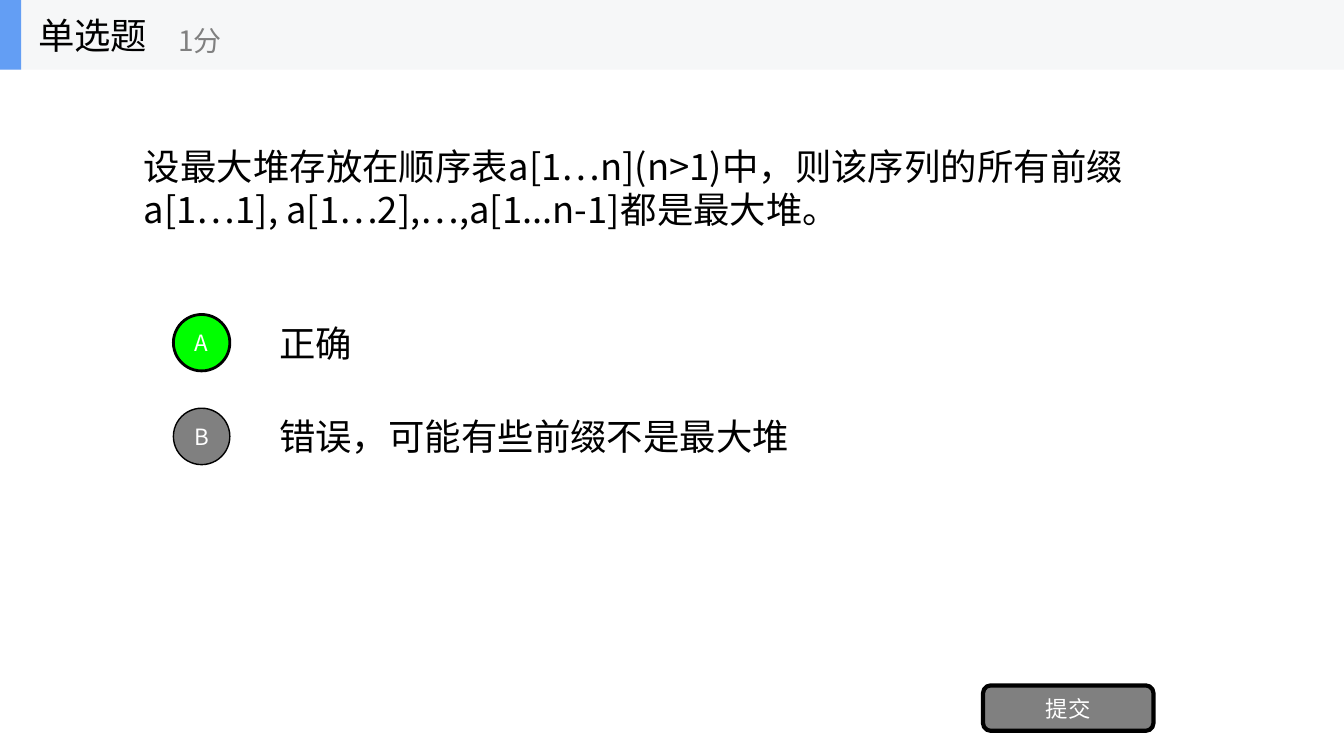
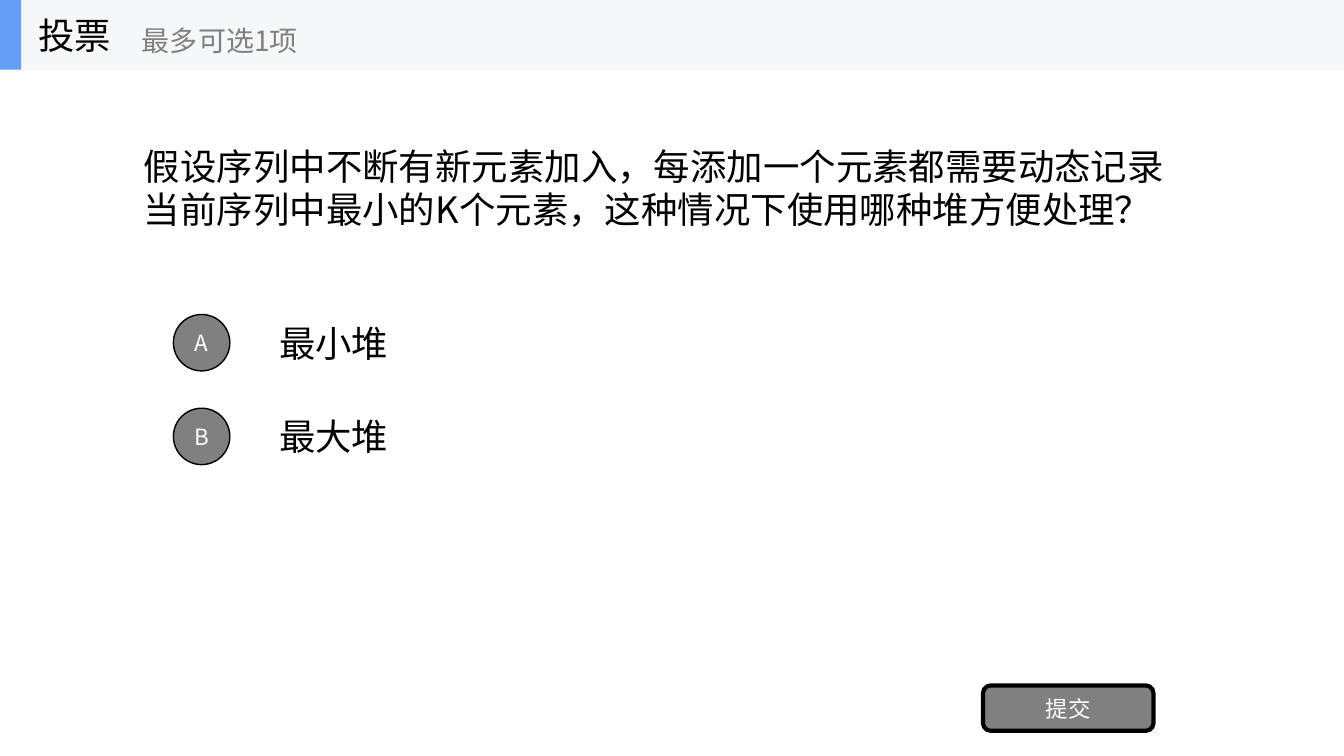
from lxml import etree
from pptx import Presentation
from pptx.dml.color import RGBColor
from pptx.enum import shapes, text
from pptx.oxml.ns import qn
from pptx.util import Inches, Pt

# Content: the correct option, if shown, is named by its letter
QUESTIONS = [
    {
        "kind": "单选题",
        "hint": "1分",
        "question": "设最大堆存放在顺序表a[1…n](n>1)中，则该序列的所有前缀"
                    "a[1…1], a[1…2],…,a[1...n-1]都是最大堆。",
        "options": ["正确", "错误，可能有些前缀不是最大堆"],
        "correct": "A",
    },
    {
        "kind": "投票",
        "hint": "最多可选1项",
        "question": "假设序列中不断有新元素加入，每添加一个元素都需要动态记录"
                    "当前序列中最小的K个元素，这种情况下使用哪种堆方便处理？",
        "options": ["最小堆", "最大堆"],
        "correct": None,
    },
]

# Shared style
FONT = "Noto Sans CJK SC"
BLACK, WHITE, GRAY, GREEN = "000000", "FFFFFF", "808080", "00FF00"
BAND, ACCENT = "F6F7F8", "639EF4"
WIDTH, HEIGHT = 13.33, 7.5
BAND_HEIGHT = 0.69
OPTION_TOP, OPTION_HEIGHT, OPTION_PITCH = 3.05, 0.7, 0.93
BADGE = 0.56


def color(value):
    return RGBColor.from_string(value)


def write(shape, words, size=26, ink=BLACK, align=text.PP_ALIGN.LEFT, wrap=True):
    frame = shape.text_frame
    frame.word_wrap = wrap
    frame.vertical_anchor = text.MSO_ANCHOR.MIDDLE
    para = frame.paragraphs[0]
    para.alignment = align
    span = para.add_run()
    span.text = words
    span.font.size = Pt(size)
    span.font.name = FONT
    span.font.color.rgb = color(ink)
    # East Asian characters take their own font element
    etree.SubElement(span.font._element, qn("a:ea"), typeface=FONT)


def add_text(parent, place, words, **style):
    box = parent.add_textbox(*map(Inches, place))
    write(box, words, **style)


def add_block(parent, preset, place, fill, line=0, label=None):
    block = parent.add_shape(preset, *map(Inches, place))
    block.shadow.inherit = False
    block.fill.solid()
    block.fill.fore_color.rgb = color(fill)
    if line:
        block.line.color.rgb = color(BLACK)
        block.line.width = Pt(line)
    else:
        block.line.fill.background()
    if label:
        write(block, label, size=16, ink=WHITE, align=text.PP_ALIGN.CENTER)


def add_header(page, kind, hint):
    header = page.shapes.add_group_shape().shapes
    rectangle = shapes.MSO_SHAPE.RECTANGLE
    add_block(header, rectangle, (0, 0, WIDTH, BAND_HEIGHT), BAND)
    add_block(header, rectangle, (0, 0, 0.21, BAND_HEIGHT), ACCENT)
    add_text(header, (0.28, 0, 2.08, BAND_HEIGHT), kind, wrap=False)
    # The hint follows the title, one 26 pt character being 0.36 in wide
    hint_left = 0.59 + 0.36 * len(kind)
    add_text(header, (hint_left, 0.12, 2.5, 0.56), hint, size=20, ink=GRAY, wrap=False)


def add_options(page, options, correct):
    for index, (letter, option) in enumerate(zip("ABCD", options)):
        top = OPTION_TOP + index * OPTION_PITCH
        add_text(page.shapes, (2.67, top, 9.33, OPTION_HEIGHT), option)
        badge_top = top + (OPTION_HEIGHT - BADGE) / 2
        fill, line = (GREEN, 2) if letter == correct else (GRAY, 1)
        add_block(page.shapes, shapes.MSO_SHAPE.OVAL, (1.72, badge_top, BADGE, BADGE),
                  fill, line, letter)


def main():
    deck = Presentation()
    deck.slide_width, deck.slide_height = Inches(WIDTH), Inches(HEIGHT)
    for item in QUESTIONS:
        page = deck.slides.add_slide(deck.slide_layouts[6])
        add_text(page.shapes, (1.33, BAND_HEIGHT, 10.67, 2.34), item["question"])
        add_options(page, item["options"], item["correct"])
        # Submit button
        add_block(page.shapes, shapes.MSO_SHAPE.ROUNDED_RECTANGLE,
                  (9.75, 6.8, 1.69, 0.45), GRAY, 3, "提交")
        add_header(page, item["kind"], item["hint"])
    deck.save("out.pptx")


if __name__ == "__main__":
    main()
